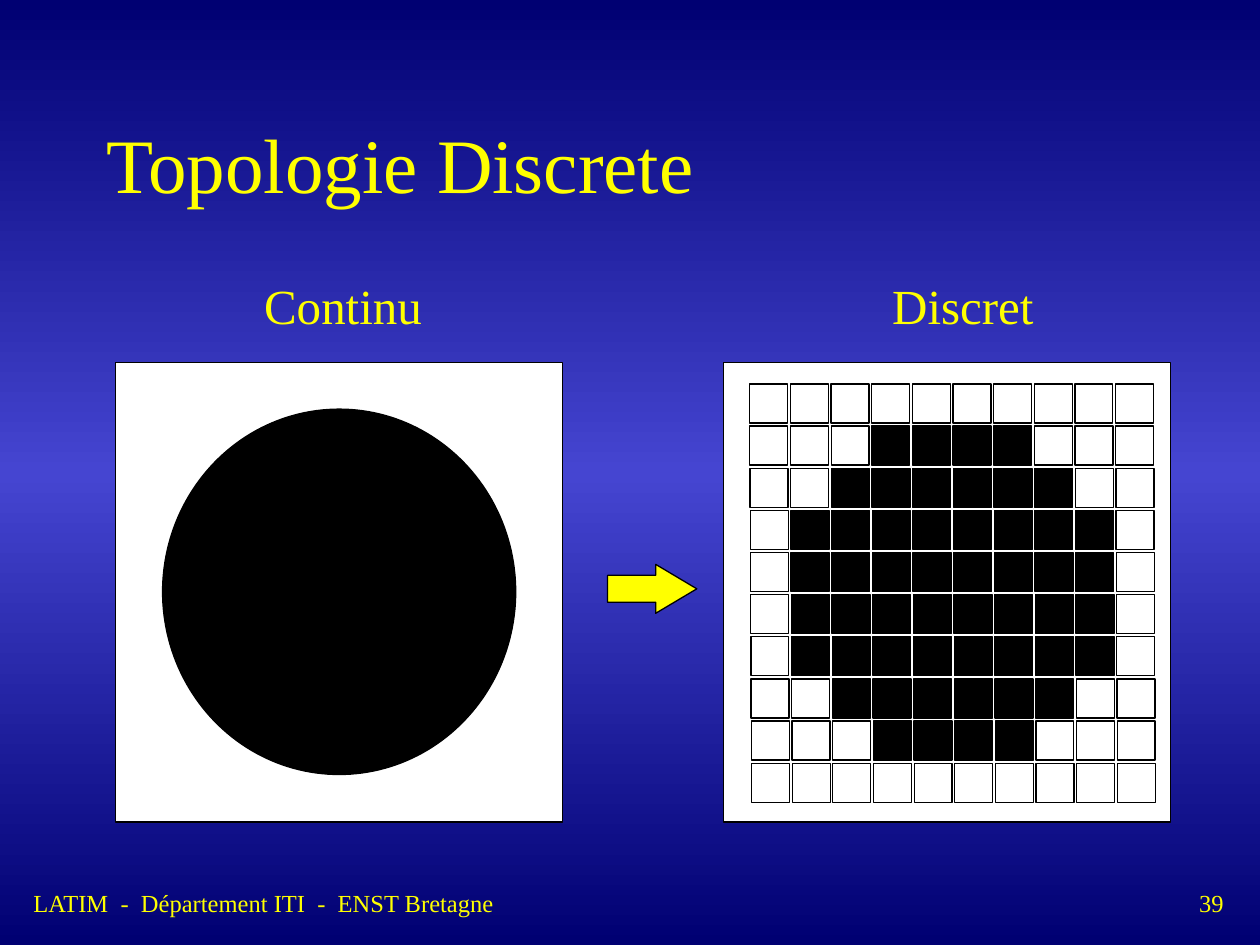
"""Build the slide comparing a continuous disc with its discrete version."""
import copy

import pptx
import pptx.dml.color
import pptx.enum.shapes
import pptx.enum.text
import pptx.oxml.ns
import pptx.util

Pt = pptx.util.Pt
SHAPES = pptx.enum.shapes.MSO_SHAPE
ALIGN = pptx.enum.text.PP_ALIGN
ANCHOR = pptx.enum.text.MSO_ANCHOR
FONT = "Times New Roman"
COLORS = {
    "navy": "000072",
    "blue": "4545D1",
    "yellow": "FFFF00",
    "white": "FFFFFF",
    "black": "000000",
}
BLACK_CELLS_PER_ROW = [0, 4, 6, 8, 8, 8, 8, 6, 4, 0]
COLUMNS = 10


def color(name):
    return pptx.dml.color.RGBColor.from_string(COLORS[name])


def paint_background(slide):
    fill = slide.background.fill
    fill.gradient()
    fill.gradient_angle = 270
    stop_list = next(slide.element.iter(pptx.oxml.ns.qn("a:gsLst")))
    stop_list.append(copy.deepcopy(stop_list[0]))
    stops = [(0, "navy"), (0.5, "blue"), (1, "navy")]
    for stop, (position, name) in zip(fill.gradient_stops, stops):
        stop.position = position
        stop.color.rgb = color(name)


def add_text(slide, text, left, top, width, height, size,
             space_before=0, align=ALIGN.LEFT, anchor=ANCHOR.TOP):
    box = slide.shapes.add_textbox(Pt(left), Pt(top), Pt(width), Pt(height))
    frame = box.text_frame
    frame.word_wrap = True
    frame.vertical_anchor = anchor
    paragraph = frame.paragraphs[0]
    paragraph.alignment = align
    paragraph.space_before = Pt(space_before)
    run = paragraph.add_run()
    run.text = text
    run.font.name = FONT
    run.font.size = Pt(size)
    run.font.color.rgb = color("yellow")


def add_figure(shapes, kind, left, top, width, height, fill):
    shape = shapes.add_shape(kind, Pt(left), Pt(top), Pt(width), Pt(height))
    shape.shadow.inherit = False
    shape.fill.solid()
    shape.fill.fore_color.rgb = color(fill)
    shape.line.color.rgb = color("black")
    shape.line.width = Pt(0.75)
    return shape


def add_panel(slide, left):
    group = slide.shapes.add_group_shape()
    add_figure(group.shapes, SHAPES.RECTANGLE, left, 207.3, 255.5, 262.5, "white")
    return group


def add_grid(shapes, left, top):
    column_step, row_step, row_drift = 23.23, 24.08, 0.12
    for row, black_count in enumerate(BLACK_CELLS_PER_ROW):
        margin = (COLUMNS - black_count) // 2
        for column in range(COLUMNS):
            is_black = margin <= column < COLUMNS - margin
            add_figure(shapes, SHAPES.RECTANGLE,
                       left + column * column_step + row * row_drift,
                       top + row * row_step, 21.7, 22.3,
                       "black" if is_black else "white")


def main():
    presentation = pptx.Presentation()
    presentation.slide_width = Pt(720)
    presentation.slide_height = Pt(540)
    slide = presentation.slides.add_slide(presentation.slide_layouts[6])
    paint_background(slide)

    add_text(slide, "39", 678.2, 504, 41.8, 24.5, 14, 8.8)
    add_text(slide, "LATIM  -  Département ITI  -  ENST Bretagne",
             12, 504, 516, 24.5, 14, 8.8)
    add_text(slide, "Topologie Discrete", 54, 48, 612, 90, 44,
             anchor=ANCHOR.MIDDLE)
    for label, left in [("Continu", 128), ("Discret", 482.2)]:
        add_text(slide, label, left, 154, 136, 41, 28, 17.5, ALIGN.CENTER)

    arrow = add_figure(slide.shapes, SHAPES.RIGHT_ARROW,
                       347.2, 322.5, 51, 28, "yellow")
    arrow.adjustments[0] = 0.55
    arrow.adjustments[1] = 0.84

    continuous = add_panel(slide, 66)
    add_figure(continuous.shapes, SHAPES.OVAL, 92.9, 233.8, 201.8, 208.8, "black")
    discrete = add_panel(slide, 413.4)
    add_grid(discrete.shapes, 428.4, 219.4)

    presentation.save("out.pptx")


if __name__ == "__main__":
    main()
